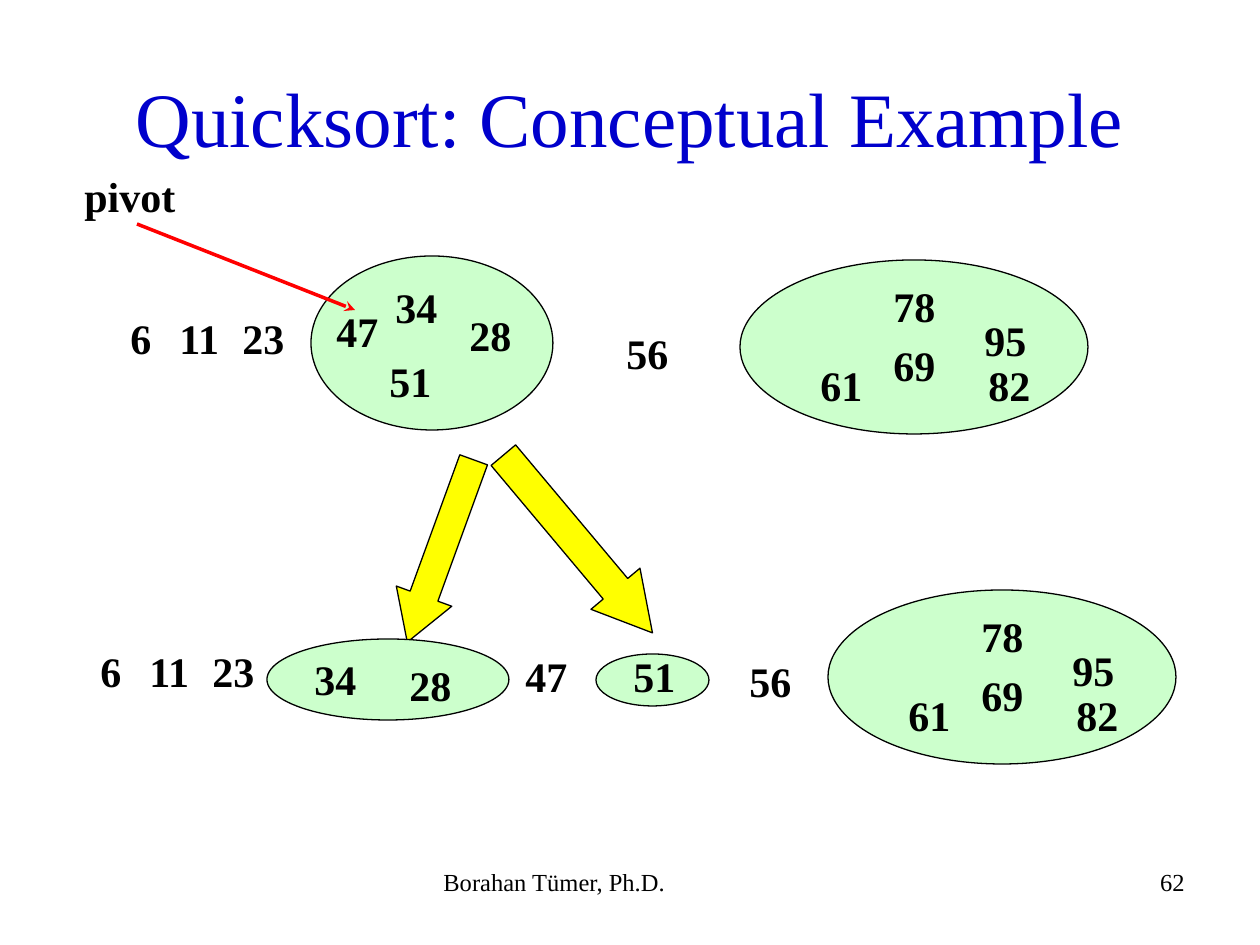
"""Build the slide showing one partition step of quicksort."""
from lxml import etree
from pptx import Presentation
from pptx.dml.color import RGBColor
from pptx.enum.shapes import MSO_CONNECTOR, MSO_SHAPE
from pptx.enum.text import MSO_ANCHOR, MSO_AUTO_SIZE, PP_ALIGN
from pptx.oxml.ns import qn
from pptx.util import Pt

PX = 914400 / 126
FONT = "Times New Roman"
BLACK, BLUE, RED = "000000", "0000CC", "FF0000"
GREEN, YELLOW = "CCFFCC", "FFFF00"
OVAL, DOWN_ARROW = MSO_SHAPE.OVAL, MSO_SHAPE.DOWN_ARROW
STRAIGHT = MSO_CONNECTOR.STRAIGHT
LEFT, CENTER, RIGHT = PP_ALIGN.LEFT, PP_ALIGN.CENTER, PP_ALIGN.RIGHT
MIDDLE = MSO_ANCHOR.MIDDLE
NO_AUTOSIZE, GROW = MSO_AUTO_SIZE.NONE, MSO_AUTO_SIZE.SHAPE_TO_FIT_TEXT

NUMBER_WIDTH, LINE_HEIGHT = 67, 63
LOW_PART = [("34", 72, 19), ("47", 13, 43), ("51", 66, 93), ("28", 146, 47)]
HIGH_PART = [("82", 236, 93), ("78", 141, 14), ("95", 232, 48),
             ("69", 141, 73), ("61", 68, 93)]
BELOW_PIVOT = [("34", 35, 8), ("28", 130, 14)]
ABOVE_PIVOT = [("51", 25, -10)]
SORTED_PART = [("6", 0, 0), ("11", 49, 0), ("23", 112, 0)]


def emu(*lengths):
    """Turn px lengths into EMU."""
    return [round(length * PX) for length in lengths]


def color(hex_code):
    """Turn a hex string into a colour."""
    return RGBColor.from_string(hex_code)


def format_text(frame, size, hex_code=BLACK, bold=False, align=LEFT):
    """Format the only paragraph of a text frame."""
    paragraph = frame.paragraphs[0]
    paragraph.alignment = align
    font = paragraph.runs[0].font
    font.name, font.size, font.bold = FONT, Pt(size), bold
    font.color.rgb = color(hex_code)


def add_title(slide, text, box):
    """Place and format the title placeholder."""
    title = slide.shapes.title
    title.left, title.top, title.width, title.height = emu(*box)
    frame = title.text_frame
    frame.text = text
    frame.vertical_anchor = MIDDLE
    frame.auto_size = NO_AUTOSIZE
    format_text(frame, 44, BLUE, align=CENTER)


def add_label(slide, text, x, y, width=NUMBER_WIDTH):
    """Add a bold one-line label."""
    frame = slide.shapes.add_textbox(*emu(x, y, width, LINE_HEIGHT)).text_frame
    frame.text = text
    frame.word_wrap = False
    frame.auto_size = GROW
    format_text(frame, 24, bold=True)


def add_numbers(slide, x, y, numbers):
    """Add numbers at offsets from a corner."""
    for number, dx, dy in numbers:
        add_label(slide, number, x + dx, y + dy, 46 if len(number) == 1 else NUMBER_WIDTH)


def add_outlined(slide, kind, box, fill):
    """Add a filled shape with a thin black outline."""
    shape = slide.shapes.add_shape(kind, *emu(*box))
    shape.shadow.inherit = False
    shape.fill.solid()
    shape.fill.fore_color.rgb = color(fill)
    shape.line.color.rgb = color(BLACK)
    shape.line.width = Pt(0.75)
    return shape


def add_partition(slide, box, numbers):
    """Add an ellipse with its unsorted numbers."""
    add_outlined(slide, OVAL, box, GREEN)
    add_numbers(slide, box[0], box[1], numbers)


def add_split_arrow(slide, box, rotation, head):
    """Add a rotated block arrow."""
    arrow = add_outlined(slide, DOWN_ARROW, box, YELLOW)
    arrow.adjustments[0], arrow.adjustments[1] = 0.5, head
    arrow.rotation = rotation


def add_pivot_pointer(slide, x, y):
    """Add the pivot label and its red arrow."""
    add_label(slide, "pivot", x, y, 116)
    pointer = slide.shapes.add_connector(STRAIGHT, *emu(x + 65, y + 60, x + 283, y + 146))
    pointer.line.color.rgb = color(RED)
    pointer.line.width = Pt(2)
    etree.SubElement(pointer.line._get_or_add_ln(), qn("a:tailEnd"), type="stealth")
    etree.SubElement(pointer._element.spPr, qn("a:effectLst"))


def add_footer(slide, text, box, align):
    """Add one part of the footer."""
    frame = slide.shapes.add_textbox(*emu(*box)).text_frame
    frame.text = text
    frame.word_wrap = True
    format_text(frame, 14, align=align)


def main():
    """Build and save the slide."""
    deck = Presentation()
    deck.slide_width, deck.slide_height = emu(1260, 945)
    slide = deck.slides.add_slide(deck.slide_layouts[5])
    add_title(slide, "Quicksort: Conceptual Example", (63, 38, 1134, 158))

    add_partition(slide, (740, 260, 348, 174), HIGH_PART)
    add_label(slide, "56", 614, 321)
    add_partition(slide, (311, 256, 242, 174), LOW_PART)
    add_numbers(slide, 118, 306, SORTED_PART)
    add_pivot_pointer(slide, 72, 164)

    add_split_arrow(slide, (411, 454, 59, 194), 20, 0.83)
    add_split_arrow(slide, (546, 428, 64, 232), 320, 0.9)

    add_partition(slide, (828, 590, 348, 174), HIGH_PART)
    add_label(slide, "56", 737, 649)
    add_numbers(slide, 88, 639, SORTED_PART)
    add_partition(slide, (267, 639, 242, 81), BELOW_PIVOT)
    add_label(slide, "47", 513, 644)
    add_partition(slide, (596, 654, 113, 52), ABOVE_PIVOT)

    add_footer(slide, "Borahan Tümer, Ph.D.", (431, 861, 399, 66), LEFT)
    add_footer(slide, "62", (903, 861, 294, 66), RIGHT)
    deck.save("out.pptx")


if __name__ == "__main__":
    main()
